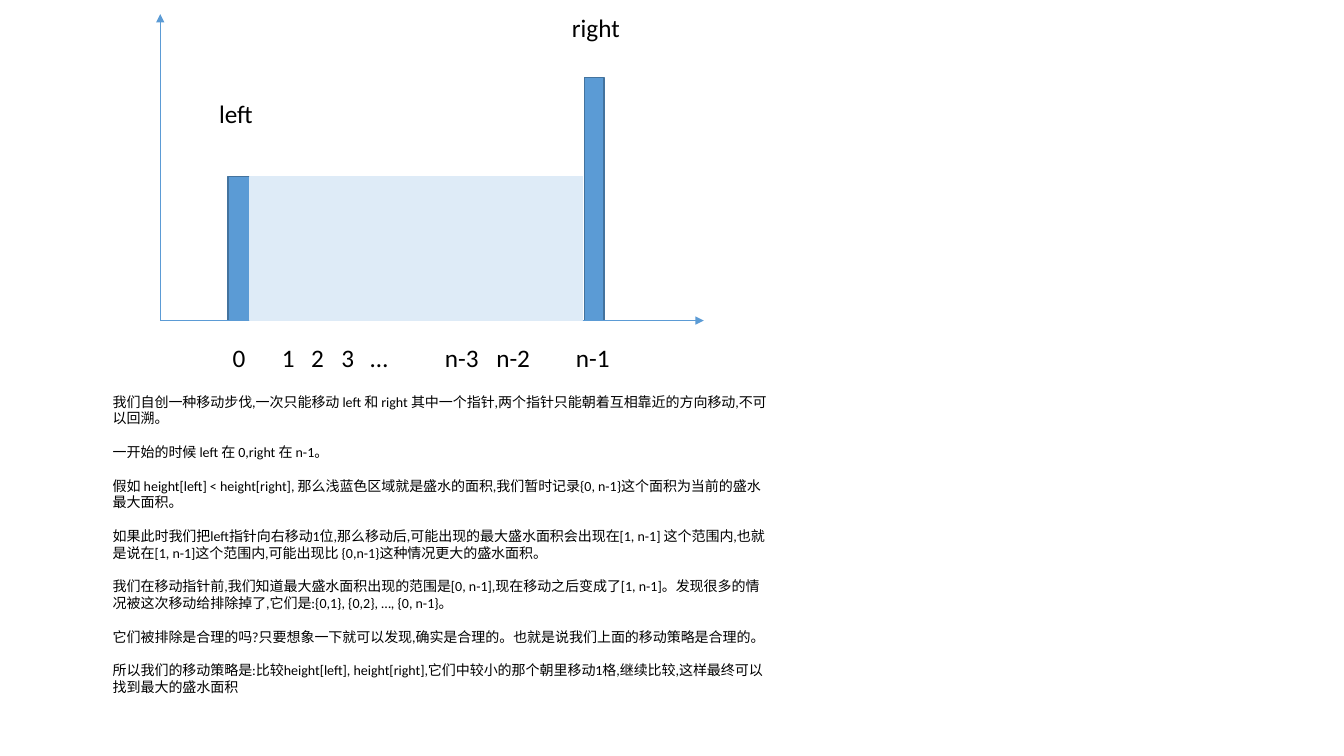
from dataclasses import dataclass

from lxml.etree import SubElement
from pptx import Presentation
from pptx.dml.color import RGBColor
from pptx.enum.shapes import MSO_CONNECTOR, MSO_SHAPE
from pptx.enum.text import PP_ALIGN
from pptx.oxml.ns import qn
from pptx.util import Inches, Pt

FONT = "Calibri"
BLUE, DARK_BLUE, PALE_BLUE, BLACK = "5B9BD5", "43739E", "DEEBF7", "000000"
ORIGIN_X, BASELINE = 1.59, 3.18
WATER_TOP = 1.75
LABEL_WIDTH, LABEL_HEIGHT = 0.8, 0.4
INDEX_TOP = 3.35


@dataclass
class Block:
    """A rectangle standing on the horizontal axis."""
    left: float
    top: float
    width: float
    fill: str
    outline: str


@dataclass
class Label:
    """A short text centred on a horizontal position."""
    text: str
    center: float
    top: float = INDEX_TOP


LEFT_BAR = Block(2.26, WATER_TOP, 0.22, BLUE, DARK_BLUE)
RIGHT_BAR = Block(5.8, 0.77, 0.19, BLUE, DARK_BLUE)
WATER = Block(2.48, WATER_TOP, 3.3, PALE_BLUE, PALE_BLUE)

AXIS_ENDS = [(6.98, BASELINE), (ORIGIN_X, 0.14)]

LABELS = [
    Label("left", 2.34, 0.93),
    Label("right", 5.91, 0.07),
    Label("0", 2.37),
    Label("1", 2.86),
    Label("2", 3.15),
    Label("3", 3.45),
    Label("…", 3.76),
    Label("n-3", 4.58),
    Label("n-2", 5.09),
    Label("n-1", 5.88),
]

EXPLANATION = [
    "我们自创一种移动步伐,一次只能移动 left 和 right 其中一个指针,两个指针只能朝着互相靠近的方向移动,不可以回溯。".replace(",", ","),
    "一开始的时候 left 在 0,right 在 n-1。".replace(",", ","),
    "假如 height[left] < height[right], 那么浅蓝色区域就是盛水的面积,我们暂时记录{0, n-1}这个面积为当前的盛水最大面积。",
    "如果此时我们把left指针向右移动1位,那么移动后,可能出现的最大盛水面积会出现在[1, n-1] 这个范围内,"
    "也就是说在[1, n-1]这个范围内,可能出现比 {0,n-1}这种情况更大的盛水面积。",
    "我们在移动指针前,我们知道最大盛水面积出现的范围是[0, n-1],现在移动之后变成了[1, n-1]。"
    "发现很多的情况被这次移动给排除掉了,它们是:{0,1}, {0,2}, …, {0, n-1}。",
    "它们被排除是合理的吗?只要想象一下就可以发现,确实是合理的。也就是说我们上面的移动策略是合理的。",
    "所以我们的移动策略是:比较height[left], height[right],它们中较小的那个朝里移动1格,继续比较,"
    "这样最终可以找到最大的盛水面积",
]


def color(value: str) -> RGBColor:
    return RGBColor.from_string(value)


def draw_block(slide, block: Block) -> None:
    rectangle = slide.shapes.add_shape(
        MSO_SHAPE.RECTANGLE, Inches(block.left), Inches(block.top),
        Inches(block.width), Inches(BASELINE - block.top))
    rectangle.shadow.inherit = False
    rectangle.fill.solid()
    rectangle.fill.fore_color.rgb = color(block.fill)
    rectangle.line.color.rgb = color(block.outline)
    rectangle.line.width = Pt(1)


def draw_axis(slide, end_x: float, end_y: float) -> None:
    axis = slide.shapes.add_connector(
        MSO_CONNECTOR.STRAIGHT, Inches(ORIGIN_X), Inches(BASELINE),
        Inches(end_x), Inches(end_y))
    axis.line.color.rgb = color(BLUE)
    axis.line.width = Pt(0.5)
    SubElement(axis.line._get_or_add_ln(), qn("a:tailEnd"), type="triangle")
    SubElement(axis._element.spPr, qn("a:effectLst"))


def draw_text(slide, text: str, left: float, top: float, width: float,
              height: float, size: int, align: PP_ALIGN, gap: int = 0) -> None:
    frame = slide.shapes.add_textbox(
        Inches(left), Inches(top), Inches(width), Inches(height)).text_frame
    frame.word_wrap = True
    frame.text = text
    for paragraph in frame.paragraphs:
        paragraph.alignment = align
        paragraph.space_after = Pt(gap)
        for run in paragraph.runs:
            run.font.name = FONT
            run.font.size = Pt(size)
            run.font.color.rgb = color(BLACK)


presentation = Presentation()
presentation.slide_width = Inches(13.33)
presentation.slide_height = Inches(7.5)
slide = presentation.slides.add_slide(presentation.slide_layouts[6])

# Bars, axes and the water between the bars
for bar in (LEFT_BAR, RIGHT_BAR):
    draw_block(slide, bar)
for end_x, end_y in AXIS_ENDS:
    draw_axis(slide, end_x, end_y)
draw_block(slide, WATER)

# Pointer names and indices
for label in LABELS:
    draw_text(slide, label.text, label.center - LABEL_WIDTH / 2, label.top,
              LABEL_WIDTH, LABEL_HEIGHT, 18, PP_ALIGN.CENTER)

# Explanation
draw_text(slide, "\n".join(EXPLANATION), 1.02, 3.85, 6.73, 3.47, 10,
          PP_ALIGN.LEFT, gap=12)

presentation.save("out.pptx")
